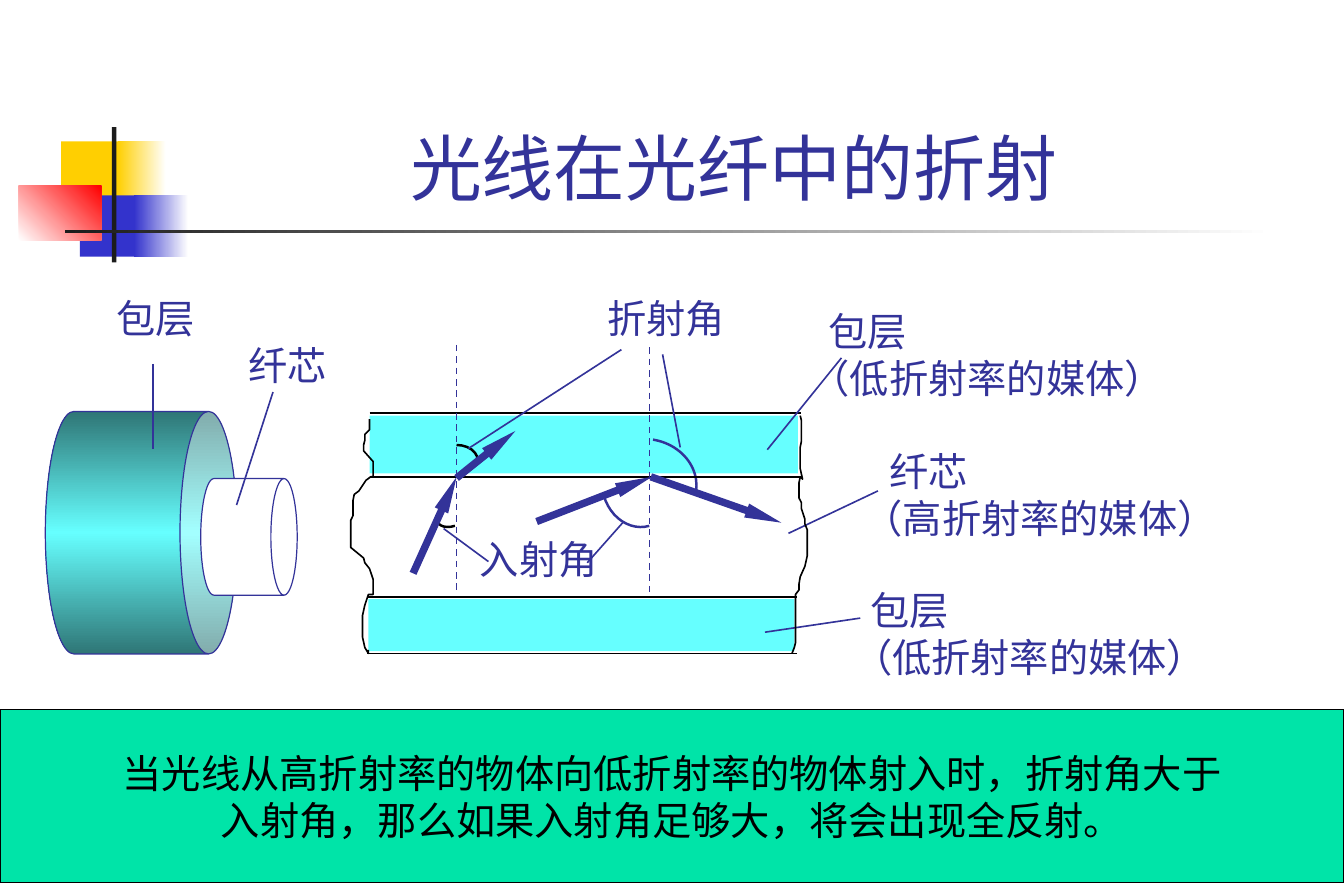
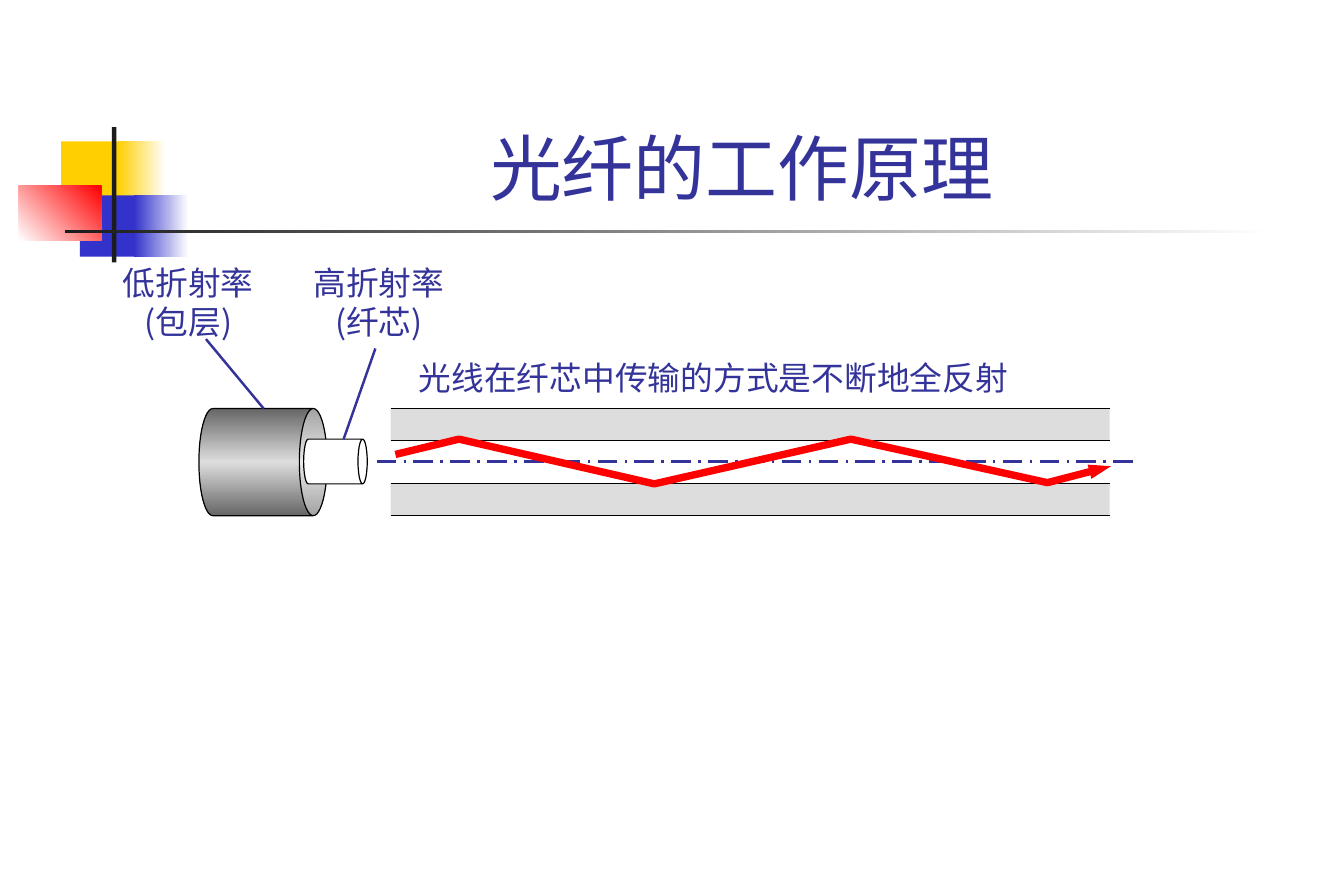
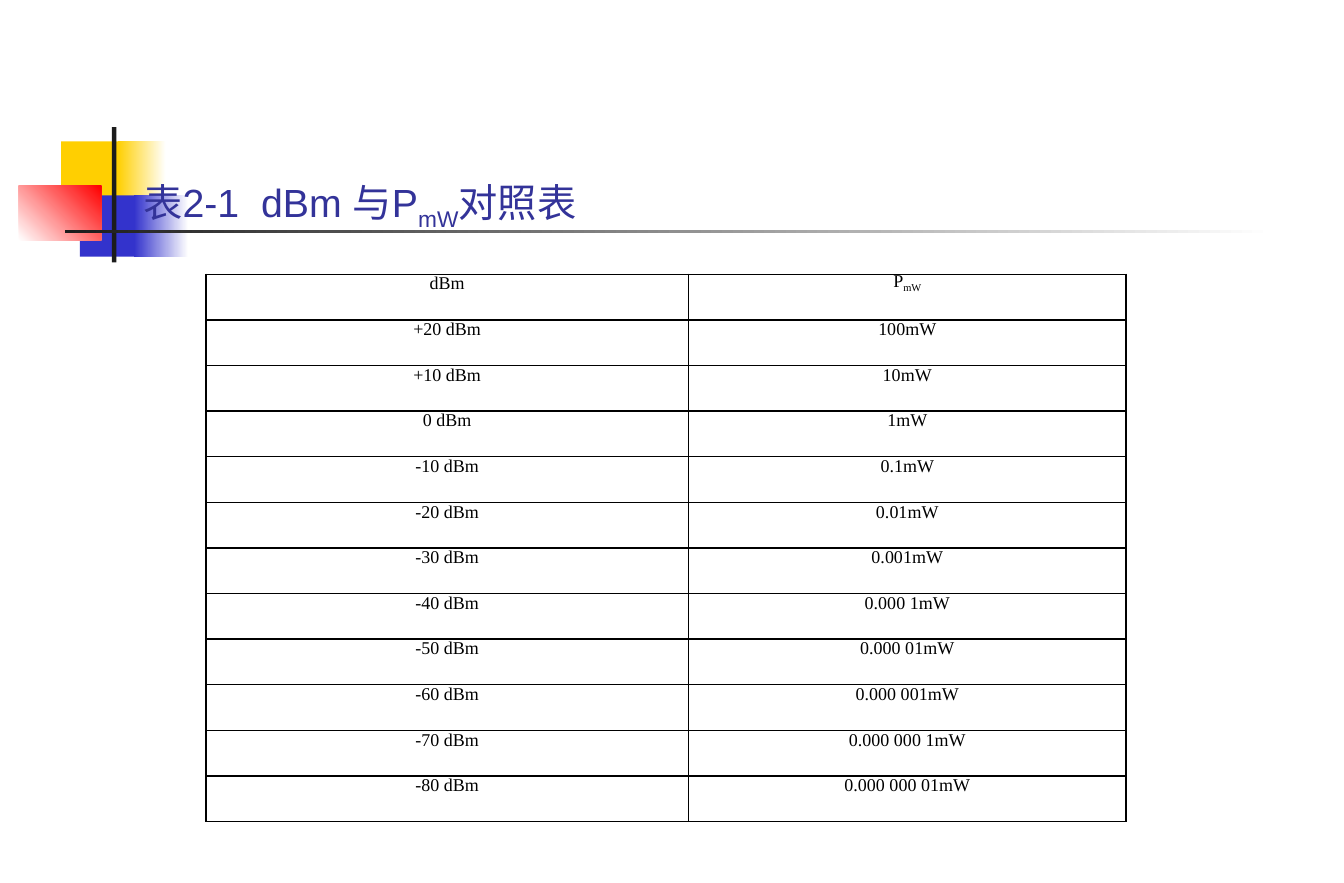
from copy import deepcopy

from lxml import etree
from pptx import Presentation
from pptx.dml.color import RGBColor
from pptx.enum.dml import MSO_LINE
from pptx.enum.shapes import MSO_CONNECTOR, MSO_SHAPE
from pptx.enum.text import MSO_ANCHOR, PP_ALIGN
from pptx.oxml.ns import qn
from pptx.util import Inches, Pt

RECT, CAN, ARC = MSO_SHAPE.RECTANGLE, MSO_SHAPE.CAN, MSO_SHAPE.ARC
STRAIGHT = MSO_CONNECTOR.STRAIGHT
DASH, LONG_DASH_DOT = MSO_LINE.DASH, MSO_LINE.LONG_DASH_DOT
LEFT, CENTER = PP_ALIGN.LEFT, PP_ALIGN.CENTER
TOP, MIDDLE, BOTTOM = MSO_ANCHOR.TOP, MSO_ANCHOR.MIDDLE, MSO_ANCHOR.BOTTOM

WHITE = RGBColor(0xFF, 0xFF, 0xFF)
BLACK = RGBColor(0x00, 0x00, 0x00)
CHARCOAL = RGBColor(0x1C, 0x1C, 0x1C)
NAVY = RGBColor(0x33, 0x33, 0x99)
BLUE = RGBColor(0x33, 0x33, 0xCC)
YELLOW = RGBColor(0xFF, 0xCF, 0x01)
RED = RGBColor(0xFF, 0x00, 0x00)
CYAN = RGBColor(0x66, 0xFF, 0xFF)
TEAL = RGBColor(0x2F, 0x76, 0x76)
GREEN = RGBColor(0x00, 0xE4, 0xA8)
SILVER = RGBColor(0xDD, 0xDD, 0xDD)
GRAY = RGBColor(0x66, 0x66, 0x66)

LATIN, SANS, BAND_FONT, SERIF = "Arial", "Noto Sans CJK SC", "Roboto", "Times New Roman"


def paint(shape, fill=None, line=None, width=0.75, angle=0, dash=None, arrow=None):
    """Style a shape; fill is a colour, a list of gradient colours or None."""
    shape.shadow.inherit = False
    if isinstance(fill, list):
        shape.fill.gradient()
        shape.fill.gradient_angle = angle
        stop_list = shape._element.spPr.find(".//" + qn("a:gsLst"))
        for _ in fill[2:]:
            stop_list.append(deepcopy(stop_list[-1]))
        for index, stop in enumerate(shape.fill.gradient_stops):
            stop.color.rgb = fill[index]
            stop.position = index / (len(fill) - 1)
    elif fill is not None:
        shape.fill.solid()
        shape.fill.fore_color.rgb = fill
    else:
        shape.fill.background()
    if line is None:
        shape.line.fill.background()
        return
    shape.line.color.rgb = line
    shape.line.width = Pt(width)
    if arrow:
        outline = shape._element.spPr.find(qn("a:ln"))
        etree.SubElement(outline, qn("a:tailEnd"), type="triangle", w="sm", len=arrow)


def write(frame, text, size, font, color, align, spacing):
    """Fill a frame line by line; text between underscores is subscript."""
    for number, line in enumerate(text.split("\n")):
        para = frame.add_paragraph() if number else frame.paragraphs[0]
        para.alignment = align
        para.line_spacing = Pt(spacing)
        for index, piece in enumerate(line.split("_")):
            span = para.add_run()
            span.text = piece
            span.font.size = Pt(size)
            span.font.name = font
            span.font.color.rgb = color
            if index % 2:
                span.font._element.set("baseline", "-25000")


deck = Presentation()
deck.slide_width, deck.slide_height = Inches(11.42), Inches(7.5)

# Shared emblem and rule: position, size, fill, gradient angle
emblem = [
    (0.52, 1.2, 0.55, 0.52, YELLOW, 0),
    (1, 1.2, 0.41, 0.52, [YELLOW, WHITE], 0),
    (0.68, 1.66, 0.53, 0.52, BLUE, 0),
    (1.14, 1.66, 0.46, 0.52, [BLUE, WHITE], 0),
    (0.16, 1.58, 0.7, 0.46, [WHITE, RED], 45),
    (0.95, 1.08, 0.04, 1.15, CHARCOAL, 0),
    (0.55, 1.95, 10.27, 0.03, [CHARCOAL, WHITE], 0),
]
pages = [deck.slides.add_slide(deck.slide_layouts[6]) for _ in range(3)]
for page in pages:
    for x, y, width, height, fill, angle in emblem:
        box = page.shapes.add_shape(RECT, Inches(x), Inches(y), Inches(width), Inches(height))
        paint(box, fill, angle=angle)
refraction, principle, power = pages

# Fibre layers in section
layers = [
    (refraction, 3.14, 3.53, 3.64, 0.49, CYAN),
    (refraction, 3.13, 5.09, 3.62, 0.44, CYAN),
    (principle, 3.32, 3.47, 6.11, 0.27, SILVER),
    (principle, 3.32, 3.74, 6.11, 0.37, WHITE),
    (principle, 3.32, 4.11, 6.11, 0.27, SILVER),
]
for page, x, y, width, height, fill in layers:
    layer = page.shapes.add_shape(RECT, Inches(x), Inches(y), Inches(width), Inches(height))
    paint(layer, fill)

# Cladding and core cylinders, lying on their side
cylinders = [
    (refraction, 0.17, 3.71, 2.06, 1.63, 0.298, [TEAL, CYAN, TEAL], NAVY),
    (refraction, 1.62, 4.15, 0.99, 0.82, 0.273, WHITE, NAVY),
    (principle, 1.78, 3.38, 0.91, 1.09, 0.26, [GRAY, SILVER, GRAY], BLACK),
    (principle, 2.66, 3.65, 0.38, 0.54, 0.207, WHITE, BLACK),
]
for page, x, y, width, height, lid, fill, line in cylinders:
    cylinder = page.shapes.add_shape(CAN, Inches(x), Inches(y), Inches(width), Inches(height))
    cylinder.rotation = 90
    cylinder.adjustments[0] = lid
    paint(cylinder, fill, line)

# Angle marks: centre, radii, rotation
angle_marks = [
    (3.84, 4.39, 0.13, 0.08, 162, BLACK),
    (3.88, 3.91, 0.18, 0.13, 0, BLACK),
    (5.42, 4.13, 0.3, 0.35, 164, NAVY),
    (5.49, 4.11, 0.43, 0.38, 9, NAVY),
]
for x, y, radius_x, radius_y, turn, color in angle_marks:
    mark = refraction.shapes.add_shape(
        ARC, Inches(x - radius_x), Inches(y - radius_y), Inches(2 * radius_x), Inches(2 * radius_y))
    mark.rotation = turn
    paint(mark, None, color, 1.5)

# Straight lines: page, ends, colour, width, dash, arrowhead
lines = [(refraction, left, y, right, y, BLACK, 1, None, False)
         for left, right, y in [(3.14, 6.81, 3.51), (3.14, 6.81, 4.05),
                                (3.12, 6.77, 5.07), (3.12, 6.77, 5.55)]]
lines += [(refraction, x, y, x, y + 2.12, NAVY, 1, DASH, False)
          for x, y in [(3.88, 2.93), (5.52, 2.95)]]
lines += [(refraction, *ends, NAVY, 4.5, None, True)
          for ends in [(3.88, 4.06, 4.38, 3.66), (3.51, 4.87, 3.88, 4.05),
                       (4.56, 4.43, 5.54, 4.05), (5.53, 4.05, 6.64, 4.44)]]
lines += [(refraction, *ends, NAVY, 1, None, False)
          for ends in [(5.63, 3.01, 5.78, 3.8), (3.98, 3.81, 5.28, 2.97),
                       (3.77, 4.49, 4.15, 4.77), (4.99, 4.78, 5.3, 4.43),
                       (6.7, 4.53, 7.46, 4.17), (7.15, 3.04, 6.52, 3.82),
                       (7.31, 5.25, 6.5, 5.37), (1.3, 3.09, 1.3, 3.81),
                       (2.32, 3.33, 2.01, 4.29)]]
lines += [(principle, 3.32, y, 9.43, y, BLACK, 0.75, None, False)
          for y in (3.47, 3.74, 4.11, 4.38)]
lines += [
    (principle, 3.2, 3.92, 9.67, 3.92, NAVY, 1.5, LONG_DASH_DOT, False),
    (principle, 3.19, 2.96, 2.92, 3.73, NAVY, 1.5, None, False),
    (principle, 1.75, 2.88, 2.24, 3.47, NAVY, 1.5, None, False),
]
for page, x1, y1, x2, y2, color, width, dash, arrow in lines:
    line = page.shapes.add_connector(STRAIGHT, Inches(x1), Inches(y1), Inches(x2), Inches(y2))
    line.line.color.rgb = color
    line.line.width = Pt(width)
    if dash:
        line.line.dash_style = dash
    if arrow:
        etree.SubElement(line.line._get_or_add_ln(), qn("a:tailEnd"),
                         type="triangle", w="sm", len="lg")
    etree.SubElement(line._element.spPr, qn("a:effectLst"))

# Torn fibre edges and the reflected ray
left_edge = [
    (3.14, 3.56), (3.14, 3.65), (3.1, 3.69), (3.1, 3.74), (3.09, 3.78), (3.09, 3.83),
    (3.17, 3.92), (3.17, 4.05), (3.15, 4.05), (3.11, 4.08), (3.05, 4.17), (3.01, 4.2),
    (3, 4.25), (3, 4.38), (2.98, 4.42), (2.98, 4.65), (3.09, 4.74), (3.1, 4.78),
    (3.14, 4.83), (3.17, 4.92), (3.17, 5.05), (3.13, 5.05), (3.1, 5.14), (3.08, 5.23),
    (3.08, 5.41), (3.1, 5.5), (3.13, 5.55), (3.13, 5.52),
]
right_edge = [
    (6.8, 3.53), (6.81, 3.57), (6.81, 3.75), (6.8, 3.8), (6.8, 3.98), (6.82, 4.07),
    (6.8, 4.05), (6.79, 4.1), (6.79, 4.23), (6.81, 4.27), (6.81, 4.32), (6.84, 4.41),
    (6.84, 4.45), (6.86, 4.5), (6.86, 4.72), (6.84, 4.81), (6.8, 4.9), (6.79, 4.96),
    (6.79, 5.01), (6.76, 5.05), (6.76, 5.46), (6.75, 5.5), (6.73, 5.55),
]
ray = [(3.36, 3.86), (3.9, 3.73), (5.56, 4.11), (7.23, 3.73), (8.9, 4.1), (9.44, 3.96)]
for page, points, color, width, arrow in [
    (refraction, left_edge, BLACK, 1, None),
    (refraction, right_edge, BLACK, 1, None),
    (principle, ray, RED, 4.5, "med"),
]:
    corners = [(Inches(x), Inches(y)) for x, y in points]
    builder = page.shapes.build_freeform(*corners[0])
    builder.add_line_segments(corners[1:], close=False)
    paint(builder.convert_to_shape(), None, color, width, arrow=arrow)

# Titles and labels: page, box, text, size, font, alignment, anchor, first-line indent
title_box = (1.44, 0.23, 9.73, 1.6)
low_index = "包层\n（低折射率的媒体）"
labels = [
    (refraction, title_box, "光线在光纤中的折射 ", 44, LATIN, CENTER, BOTTOM, 0),
    (principle, title_box, "光纤的工作原理", 44, LATIN, CENTER, BOTTOM, 0),
    (power, (1.12, 0.76, 6.92, 1.26), "表2-1  dBm 与P_mW_对照表", 24, LATIN, LEFT, BOTTOM, 0),
    (refraction, (5.06, 2.45, 1.4, 0.5), "折射角", 24, LATIN, LEFT, TOP, 0),
    (refraction, (3.98, 4.5, 1.4, 0.5), "入射角", 24, LATIN, LEFT, TOP, 0),
    (refraction, (0.89, 2.45, 1, 0.5), "包层", 24, LATIN, LEFT, TOP, 0),
    (refraction, (2.01, 2.85, 1, 0.5), "纤芯", 24, LATIN, LEFT, TOP, 0),
    (refraction, (6.79, 2.56, 3.5, 0.91), low_index, 24, LATIN, LEFT, TOP, 0.15),
    (refraction, (7.15, 4.93, 3.5, 0.91), low_index, 24, LATIN, LEFT, TOP, 0.15),
    (refraction, (7.24, 3.75, 3.97, 0.91), "纤芯\n（高折射率的媒体）", 24, LATIN, LEFT, TOP, 0.22),
    (principle, (2.47, 2.18, 1.5, 0.77), "高折射率\n(纤芯)", 20, SANS, CENTER, TOP, 0),
    (principle, (0.85, 2.18, 1.5, 0.77), "低折射率\n(包层)", 20, SANS, CENTER, TOP, 0),
    (principle, (3.46, 2.99, 5.5, 0.44), "光线在纤芯中传输的方式是不断地全反射", 20, SANS, LEFT, TOP, 0),
]
for page, place, text, size, font, align, anchor, indent in labels:
    frame = page.shapes.add_textbox(*[Inches(value) for value in place]).text_frame
    frame.word_wrap = True
    frame.vertical_anchor = anchor
    write(frame, text, size, font, NAVY, align, size * 1.2)
    if indent:
        frame.paragraphs[0]._p.get_or_add_pPr().set("marL", str(Inches(indent)))

# Conclusion band
band = refraction.shapes.add_shape(RECT, 0, Inches(6.03), deck.slide_width, Inches(1.47))
paint(band, GREEN, BLACK)
band.text_frame.vertical_anchor = MIDDLE
write(band.text_frame,
      "当光线从高折射率的物体向低折射率的物体射入时，折射角大于\n"
      "入射角，那么如果入射角足够大，将会出现全反射。",
      24, BAND_FONT, BLACK, CENTER, 28.8)

# Power table
power_rows = [
    ("dBm", "P_mW_"),
    ("+20 dBm", "100mW"),
    ("+10 dBm", "10mW"),
    ("0 dBm", "1mW"),
    ("-10 dBm", "0.1mW"),
    ("-20 dBm", "0.01mW"),
    ("-30 dBm", "0.001mW"),
    ("-40 dBm", "0.000 1mW"),
    ("-50 dBm", "0.000 01mW"),
    ("-60 dBm", "0.000 001mW"),
    ("-70 dBm", "0.000 000 1mW"),
    ("-80 dBm", "0.000 000 01mW"),
]
table = power.shapes.add_table(
    len(power_rows), 2, Inches(1.75), Inches(2.33), Inches(7.82), Inches(4.65)).table
table.first_row = table.horz_banding = False
table.columns[0].width, table.columns[1].width = Inches(4.1), Inches(3.72)
for row, values in enumerate(power_rows):
    for column, value in enumerate(values):
        cell = table.cell(row, column)
        cell.margin_left = cell.margin_right = Inches(0.09)
        cell.margin_top = cell.margin_bottom = 0
        write(cell.text_frame, value, 11, SERIF, BLACK, CENTER, 12)
        properties = cell._tc.get_or_add_tcPr()
        for side in ("a:lnL", "a:lnR", "a:lnT", "a:lnB"):
            border = etree.SubElement(properties, qn(side), w=str(Pt(1)))
            solid = etree.SubElement(border, qn("a:solidFill"))
            etree.SubElement(solid, qn("a:srgbClr"), val=str(BLACK))
        cell.fill.background()

deck.save("out.pptx")
